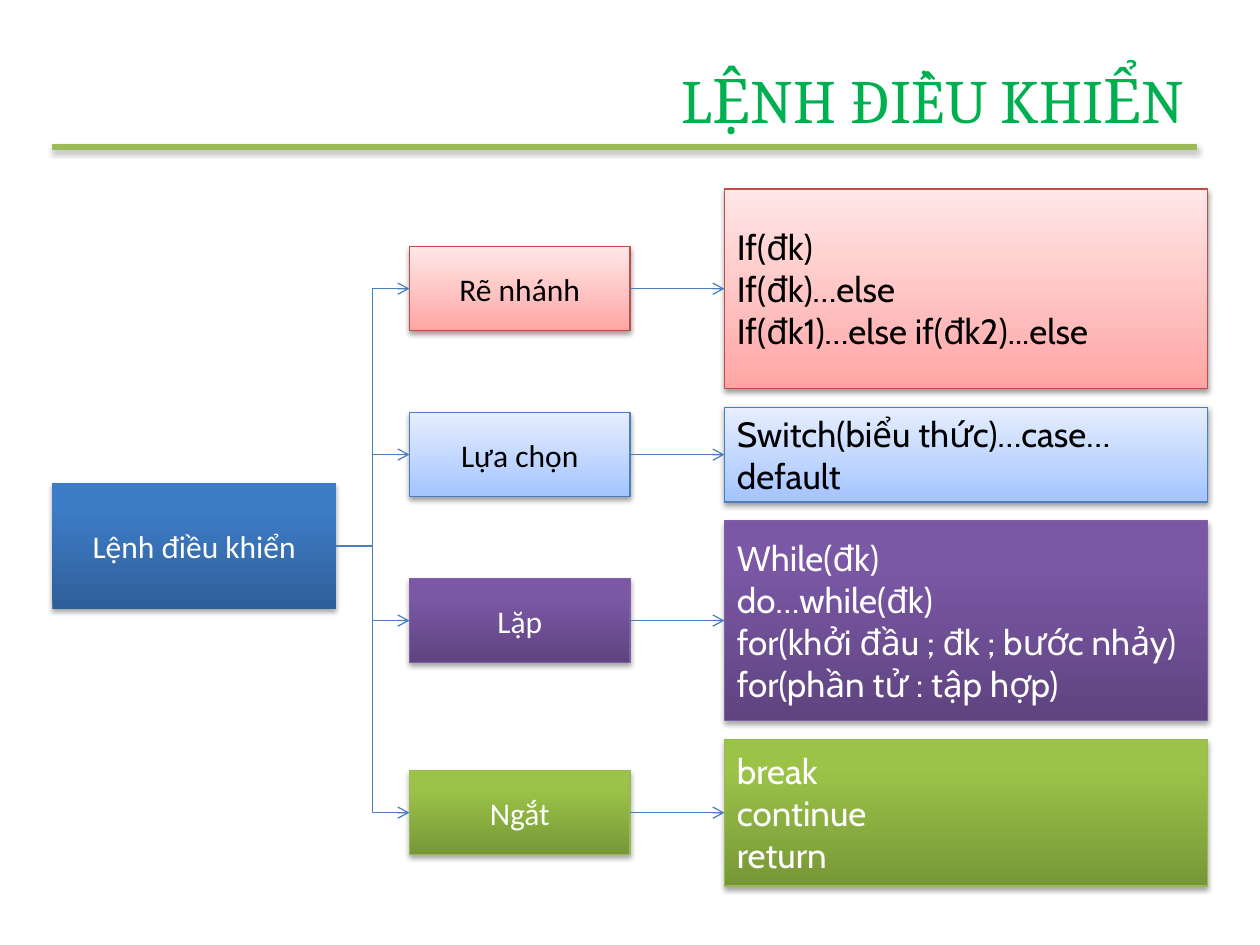
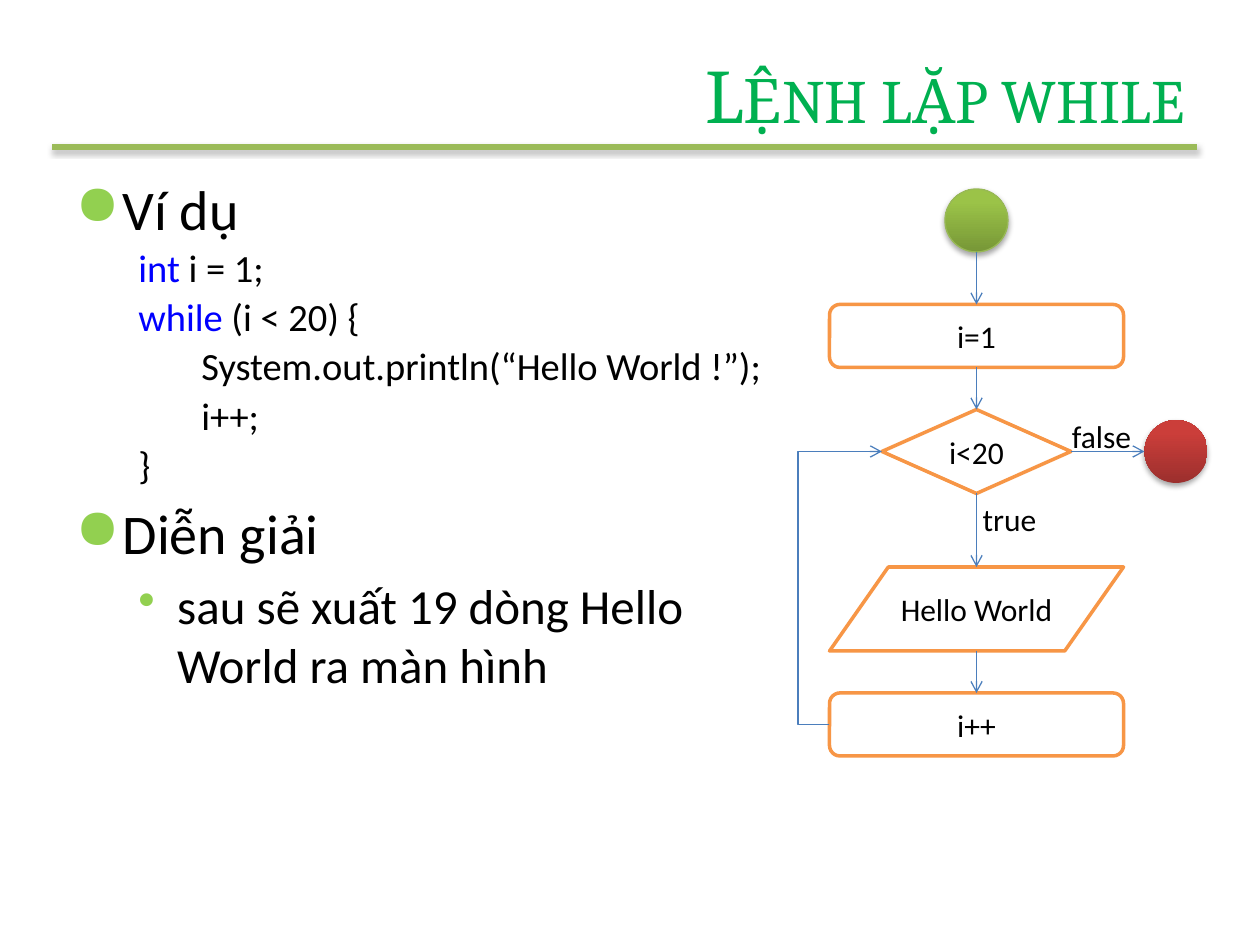
import lxml.etree
import pptx
import pptx.dml.color
import pptx.enum.shapes
import pptx.enum.text
import pptx.oxml.ns
import pptx.util

SHAPE = pptx.enum.shapes.MSO_SHAPE
CONNECTOR = pptx.enum.shapes.MSO_CONNECTOR
ALIGN = pptx.enum.text.PP_ALIGN
ANCHOR = pptx.enum.text.MSO_ANCHOR
TOP, LEFT, BOTTOM, RIGHT = range(4)

COLORS = {
    "title": "00B050", "rule": "9BBB59", "bullet": "92D050", "keyword": "0000FF",
    "wire": "4B7EBC", "step": "F79646", "black": "000000", "white": "FFFFFF",
}
THEMES = {
    "navy": {"stops": ("2F5F99", "3D7CC7"), "line": None, "ink": "white"},
    "pink": {"stops": ("FFA6A5", "FFE7E7"), "line": "BF4C48", "ink": "black"},
    "sky": {"stops": ("A4C4FF", "E6EEFF"), "line": "4B7EBC", "ink": "black"},
    "purple": {"stops": ("5F4480", "7B58A6"), "line": "7D60A0", "ink": "white"},
    "green": {"stops": ("779737", "9BC348"), "line": "98B955", "ink": "white"},
    "red": {"stops": ("9C2F2D", "CB3E3A"), "line": None, "ink": "white"},
}


class Deck:
    """Holds the shared style and the current page, and draws each kind of element."""

    scale = 7620
    width, height = 1200, 900
    glued = (SHAPE.RECTANGLE, SHAPE.ROUNDED_RECTANGLE, SHAPE.FLOWCHART_DECISION)

    def __init__(self):
        self.presentation = pptx.Presentation()
        self.presentation.slide_width = self.px(self.width)
        self.presentation.slide_height = self.px(self.height)
        self.page = None

    def px(self, length):
        return pptx.util.Emu(round(length * self.scale))

    def color(self, value):
        return pptx.dml.color.RGBColor.from_string(COLORS.get(value, value))

    def add(self, parent, tag, **attributes):
        return lxml.etree.SubElement(parent, pptx.oxml.ns.qn(tag), attributes)

    def shade(self, effects, light=False):
        alpha, distance = ("38000", "20000") if light else ("35000", "23000")
        shadow = self.add(effects, "a:outerShdw", blurRad="40000", dist=distance,
                          dir="5400000", rotWithShape="0")
        tint = self.add(shadow, "a:srgbClr", val=COLORS["black"])
        self.add(tint, "a:alpha", val=alpha)

    def style(self, span, font, size, color):
        span.font.name = font
        span.font.size = pptx.util.Pt(size)
        span.font.color.rgb = self.color(color)

    def set_text(self, shape, text, font="Calibri", size=18, color="black",
                 align=ALIGN.CENTER, anchor=ANCHOR.MIDDLE, wrap=True):
        frame = shape.text_frame
        frame.word_wrap = wrap
        frame.vertical_anchor = anchor
        frame.text = text
        for para in frame.paragraphs:
            para.alignment = align
            for span in para.runs:
                self.style(span, font, size, color)

    def text_box(self, left, top, width, height):
        return self.page.shapes.add_textbox(*map(self.px, (left, top, width, height)))

    def new_page(self, title):
        self.page = self.presentation.slides.add_slide(self.presentation.slide_layouts[6])
        rule = self.line((50, 140), (1140, 140), "rule", 3)
        self.shade(rule.element.spPr[-1])
        box = self.text_box(174, 36, 966, 104)
        self.set_text(box, title, "Cambria", 44, "title", ALIGN.RIGHT)
        box.text_frame.paragraphs[0].runs[0].font._element.set("cap", "small")

    def shape(self, kind, left, top, width, height):
        shape = self.page.shapes.add_shape(
            kind, *map(self.px, (left, top, width, height)))
        shape.shadow.inherit = False
        return shape

    def glossy(self, theme, kind, *place):
        look = THEMES[theme]
        light = look["ink"] == "black"
        shape = self.shape(kind, *place)
        shape.fill.gradient()
        shape.fill.gradient_angle = 90
        ends = (0, 1 if light else 0.8)
        for stop, color, position in zip(shape.fill.gradient_stops, look["stops"], ends):
            stop.color.rgb = self.color(color)
            stop.position = position
        if look["line"]:
            shape.line.color.rgb = self.color(look["line"])
            shape.line.width = pptx.util.Pt(0.75)
        else:
            shape.line.fill.background()
        self.shade(shape.element.spPr.find(pptx.oxml.ns.qn("a:effectLst")), light)
        return shape

    def panel(self, theme, text, *place, **style):
        box = self.glossy(theme, SHAPE.RECTANGLE, *place)
        self.set_text(box, text, color=THEMES[theme]["ink"], **style)
        return box

    def step(self, kind, text, *place):
        box = self.shape(kind, *place)
        box.fill.solid()
        box.fill.fore_color.rgb = self.color("white")
        box.line.color.rgb = self.color("step")
        box.line.width = pptx.util.Pt(2)
        self.set_text(box, text)
        return box

    def label(self, text, *place):
        self.set_text(self.text_box(*place), text, align=ALIGN.LEFT,
                      anchor=ANCHOR.TOP, wrap=False)

    def line(self, start, end, color, weight, kind=CONNECTOR.STRAIGHT):
        line = self.page.shapes.add_connector(kind, *map(self.px, (*start, *end)))
        line.line.color.rgb = self.color(color)
        line.line.width = pptx.util.Pt(weight)
        self.add(line.element.spPr, "a:effectLst")
        return line

    def side(self, shape, site):
        across = {LEFT: 0, RIGHT: 1}.get(site, 0.5)
        down = {TOP: 0, BOTTOM: 1}.get(site, 0.5)
        return ((shape.left + shape.width * across) / self.scale,
                (shape.top + shape.height * down) / self.scale)

    def arrow(self, source, exit_site, target, entry_site,
              kind=CONNECTOR.STRAIGHT, bend=None):
        line = self.line(self.side(source, exit_site), self.side(target, entry_site),
                         "wire", 0.75, kind)
        self.add(line.get_or_add_ln(), "a:tailEnd", type="arrow")
        if bend is not None:
            guides = line.element.spPr.find(".//" + pptx.oxml.ns.qn("a:avLst"))
            self.add(guides, "a:gd", name="adj1", fmla=f"val {round(bend * 100000)}")
            return
        if source.auto_shape_type in self.glued:
            line.begin_connect(source, exit_site)
        if target.auto_shape_type in self.glued:
            line.end_connect(target, entry_site)

    def outline(self, rows, *place):
        frame = self.text_box(*place).text_frame
        frame.word_wrap = True
        for index, (keyword, text, size, margin, hang, bullet) in enumerate(rows):
            para = frame.paragraphs[0] if index == 0 else frame.add_paragraph()
            para.text = keyword or text
            if keyword:
                para.add_run().text = text
            for span in para.runs:
                self.style(span, "Calibri", size, "black")
            if keyword:
                para.runs[0].font.color.rgb = self.color("keyword")
            para.space_before = pptx.util.Pt(size * 0.2)
            para.line_spacing = 1.0 if bullet else 0.9
            layout = para._p.get_or_add_pPr()
            layout.set("marL", str(self.px(margin)))
            layout.set("indent", str(self.px(-hang)))
            if bullet:
                tint = self.add(layout, "a:buClr")
                self.add(tint, "a:srgbClr", val=COLORS["bullet"])
                self.add(layout, "a:buChar", char=bullet)


def control_statements(deck):
    deck.new_page("lệnh điều khiển")
    root = deck.panel("navy", "Lệnh điều khiển", 50, 460, 270, 120)
    branches = [
        ("pink", "Rẽ nhánh", 190, "If(đk)\nIf(đk)…else\nIf(đk1)…else if(đk2)...else"),
        ("sky", "Lựa chọn", 90, "Switch(biểu thức)…case…default"),
        ("purple", "Lặp", 190, "While(đk)\ndo…while(đk)\n"
         "for(khởi đầu ; đk ; bước nhảy)\nfor(phần tử : tập hợp)"),
        ("green", "Ngắt", 140, "break\ncontinue\nreturn"),
    ]
    top, gap, group_height = 180, 18, 80
    for theme, name, height, syntax in branches:
        group_top = top + (height - group_height) // 2
        group = deck.panel(theme, name, 390, group_top, 210, group_height)
        detail = deck.panel(theme, syntax, 690, top, 460, height,
                            font="Cabin", size=20, align=ALIGN.LEFT)
        deck.arrow(root, RIGHT, group, LEFT, CONNECTOR.ELBOW)
        deck.arrow(group, RIGHT, detail, LEFT)
        top += height + gap


def while_loop(deck):
    deck.new_page("Lệnh lặp while")
    deck.outline([
        ("", "Ví dụ", 32, 45, 45, "●"),
        ("int", " i = 1;", 22, 60, 0, ""),
        ("while", " (i < 20) {", 22, 60, 0, ""),
        ("", "System.out.println(“Hello World !”);", 22, 120, 0, ""),
        ("", "i++;", 22, 120, 0, ""),
        ("", "}", 22, 60, 0, ""),
        ("", "Diễn giải", 32, 45, 45, "●"),
        ("", "sau sẽ xuất 19 dòng Hello World ra màn hình", 28, 97, 37, "•"),
    ], 60, 160, 680, 644)

    start = deck.glossy("green", SHAPE.OVAL, 900, 180, 60, 60)
    stop = deck.glossy("red", SHAPE.OVAL, 1090, 400, 60, 60)
    init = deck.step(SHAPE.ROUNDED_RECTANGLE, "i=1", 790, 290, 280, 60)
    test = deck.step(SHAPE.FLOWCHART_DECISION, "i<20", 840, 390, 180, 80)
    output = deck.step(SHAPE.FLOWCHART_DATA, "Hello World", 790, 540, 280, 80)
    increment = deck.step(SHAPE.ROUNDED_RECTANGLE, "i++", 790, 660, 280, 60)

    flow = [start, init, test, output, increment]
    for source, target in zip(flow, flow[1:]):
        deck.arrow(source, BOTTOM, target, TOP)
    deck.arrow(increment, LEFT, test, LEFT, CONNECTOR.ELBOW, bend=-0.6)
    deck.arrow(test, RIGHT, stop, LEFT)
    deck.label("true", 924, 470, 76, 48)
    deck.label("false", 1009, 391, 82, 48)


def main():
    deck = Deck()
    control_statements(deck)
    while_loop(deck)
    deck.presentation.save("out.pptx")


if __name__ == "__main__":
    main()
